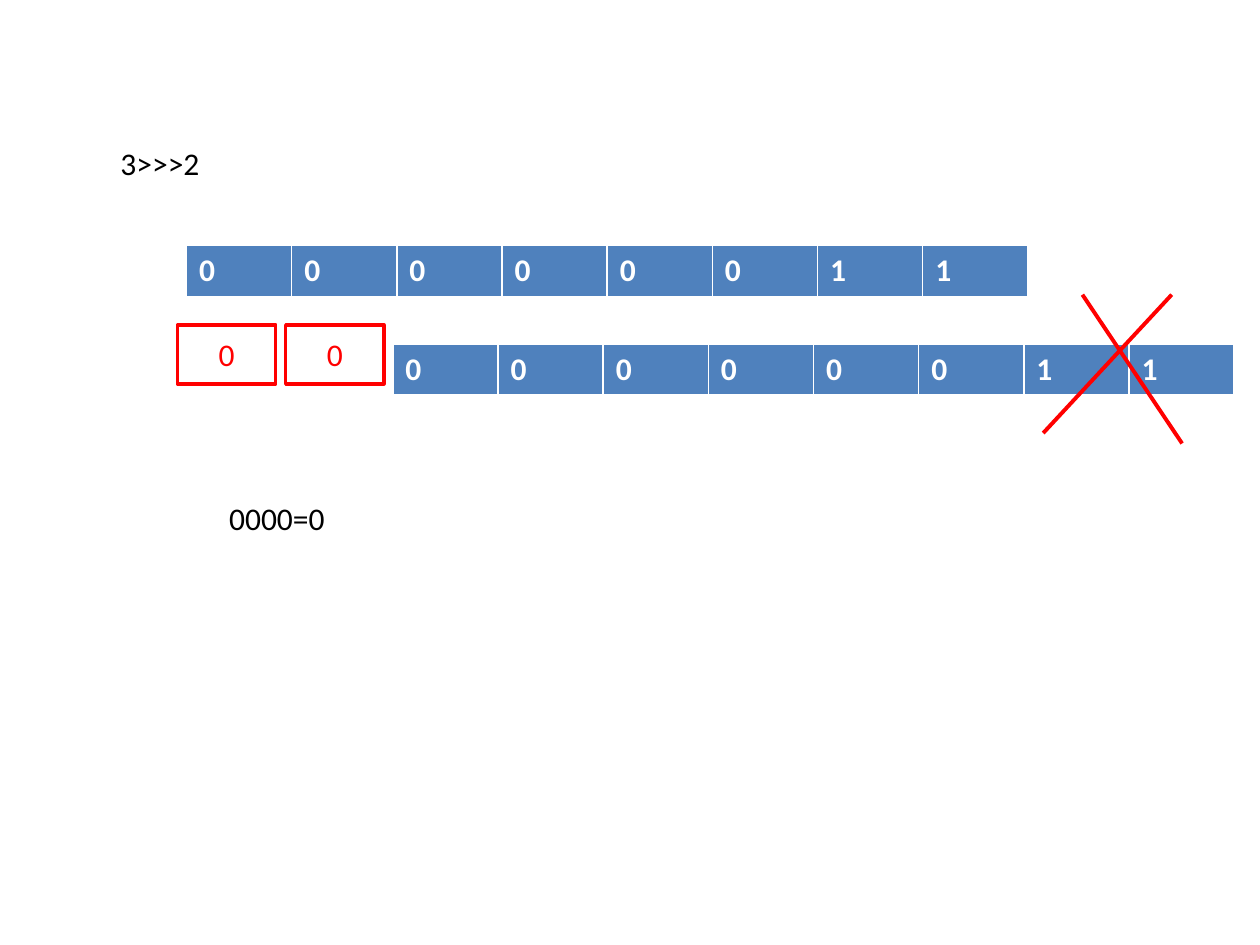
from lxml import etree
from pptx import Presentation
from pptx.dml.color import RGBColor
from pptx.enum.shapes import MSO_CONNECTOR, MSO_SHAPE
from pptx.enum.text import MSO_ANCHOR, PP_ALIGN
from pptx.oxml.ns import qn
from pptx.util import Cm, Pt

LINE, RECT = MSO_CONNECTOR.STRAIGHT, MSO_SHAPE.RECTANGLE
MIDDLE, CENTER = MSO_ANCHOR.MIDDLE, PP_ALIGN.CENTER
BLACK = RGBColor(0x00, 0x00, 0x00)
WHITE = RGBColor(0xFF, 0xFF, 0xFF)
RED = RGBColor(0xFF, 0x00, 0x00)
BLUE = RGBColor(0x4F, 0x81, 0xBD)

# Content; all lengths in centimetres
BITS = "00000011"
TABLE_ORIGINS = [(3.76, 4.95), (7.92, 6.93)]
CELL_W, CELL_H = 2.12, 1.03
LABELS = [("3>>>2", 2.18, 2.77, 5.77), ("0000=0", 4.37, 9.93, 14.68)]
LABEL_H = 1.02
FILL_BITS = "00"
FILL_LEFT, FILL_TOP, FILL_STEP = 3.58, 6.55, 2.18
FILL_W, FILL_H = 1.98, 1.19
CROSS = [(23.62, 5.94, 21.03, 8.73), (21.82, 5.94, 23.83, 8.94)]


def add_run(tf, text, color, bold=False):
    r = tf.paragraphs[0].add_run()
    r.text = text
    r.font.name = "Calibri"
    r.font.size = Pt(18)
    r.font.bold = bold
    r.font.color.rgb = color


def add_bit_row(s, left, top):
    table = s.shapes.add_table(1, len(BITS), Cm(left), Cm(top),
                               Cm(CELL_W * len(BITS)), Cm(CELL_H)).table
    for i, bit in enumerate(BITS):
        table.columns[i].width = Cm(CELL_W)
        cell = table.cell(0, i)
        cell.fill.solid()
        cell.fill.fore_color.rgb = BLUE
        add_run(cell.text_frame, bit, WHITE, bold=True)


def add_label(s, text, left, top, width):
    tf = s.shapes.add_textbox(Cm(left), Cm(top), Cm(width), Cm(LABEL_H)).text_frame
    tf.word_wrap = True
    add_run(tf, text, BLACK)


def add_fill_bit(s, bit, left):
    sp = s.shapes.add_shape(RECT, Cm(left), Cm(FILL_TOP), Cm(FILL_W), Cm(FILL_H))
    sp.shadow.inherit = False
    sp.fill.background()
    sp.line.color.rgb = RED
    sp.line.width = Pt(2)
    tf = sp.text_frame
    tf.vertical_anchor = MIDDLE
    tf.paragraphs[0].alignment = CENTER
    add_run(tf, bit, RED)


def add_stroke(s, ends):
    line = s.shapes.add_connector(LINE, *[Cm(v) for v in ends])
    line.line.color.rgb = RED
    line.line.width = Pt(2.25)
    etree.SubElement(line._element.spPr, qn("a:effectLst"))


def main():
    prs = Presentation()
    prs.slide_width, prs.slide_height = Cm(25.4), Cm(19.05)
    s = prs.slides.add_slide(prs.slide_layouts[6])
    for origin in TABLE_ORIGINS:
        add_bit_row(s, *origin)
    for label in LABELS:
        add_label(s, *label)
    for ends in CROSS:
        add_stroke(s, ends)
    for i, bit in enumerate(FILL_BITS):
        add_fill_bit(s, bit, FILL_LEFT + i * FILL_STEP)
    prs.save("out.pptx")


if __name__ == "__main__":
    main()
